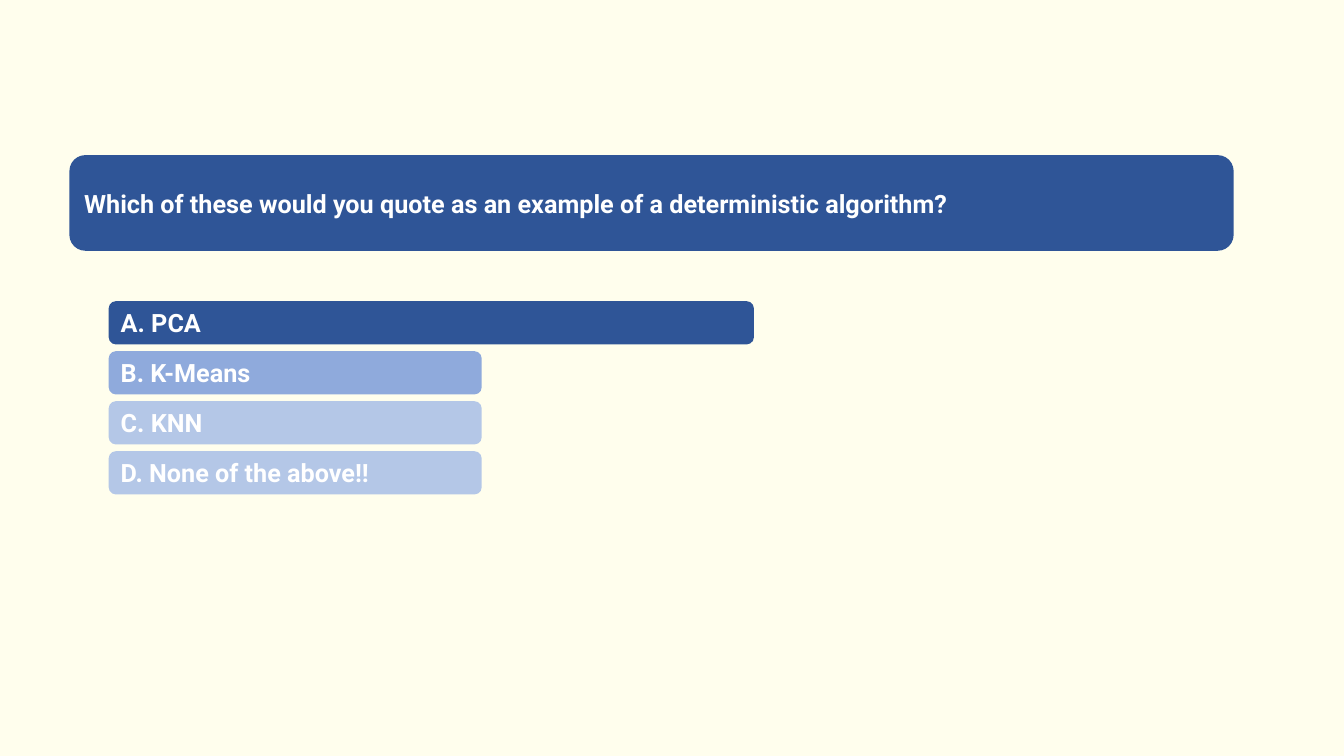
from dataclasses import dataclass

import pptx
import pptx.dml.color
import pptx.enum.shapes
import pptx.enum.text
import pptx.util

Cm = pptx.util.Cm


@dataclass(frozen=True)
class Theme:
    background: str = "FFFEED"
    dark: str = "2F5597"
    medium: str = "8FAADC"
    light: str = "B4C7E7"
    text: str = "FFFFFF"
    font: str = "Roboto"
    size: int = 18


theme = Theme()


def add_bar(slide, left, top, width, height, color):
    shape = slide.shapes.add_shape(
        pptx.enum.shapes.MSO_SHAPE.ROUNDED_RECTANGLE,
        Cm(left), Cm(top), Cm(width), Cm(height))
    shape.shadow.inherit = False
    shape.fill.solid()
    shape.fill.fore_color.rgb = pptx.dml.color.RGBColor.from_string(color)
    shape.line.fill.background()
    return shape


def write_text(shape, text):
    frame = shape.text_frame
    frame.text = text
    frame.word_wrap = True
    frame.auto_size = pptx.enum.text.MSO_AUTO_SIZE.NONE
    frame.vertical_anchor = pptx.enum.text.MSO_ANCHOR.MIDDLE
    paragraph = frame.paragraphs[0]
    paragraph.alignment = pptx.enum.text.PP_ALIGN.LEFT
    paragraph.font.name = theme.font
    paragraph.font.size = pptx.util.Pt(theme.size)
    paragraph.font.bold = True
    paragraph.font.color.rgb = pptx.dml.color.RGBColor.from_string(theme.text)


presentation = pptx.Presentation()
presentation.slide_width = Cm(33.87)
presentation.slide_height = Cm(19.05)
slide = presentation.slides.add_slide(presentation.slide_layouts[5])
slide.background.fill.solid()
slide.background.fill.fore_color.rgb = pptx.dml.color.RGBColor.from_string(theme.background)

banner = add_bar(slide, 1.75, 3.91, 29.34, 2.41, theme.dark)
title = slide.shapes.title
title.left, title.top = banner.left, banner.top
title.width, title.height = banner.width, banner.height
title.text_frame.margin_left = Cm(0.37)
write_text(title, "Which of these would you quote as an example of a deterministic algorithm?")
title.element.addprevious(banner.element)

answers = [
    ("A. PCA", 16.26, theme.dark),
    ("B. K-Means", 9.4, theme.medium),
    ("C. KNN", 9.4, theme.light),
    ("D. None of the above!!", 9.4, theme.light),
]
answer_top = 7.59
answer_pitch = 1.26
for index, (text, width, color) in enumerate(answers):
    answer = add_bar(slide, 2.74, answer_top + index * answer_pitch, width, 1.09, color)
    write_text(answer, text)

presentation.save("out.pptx")
